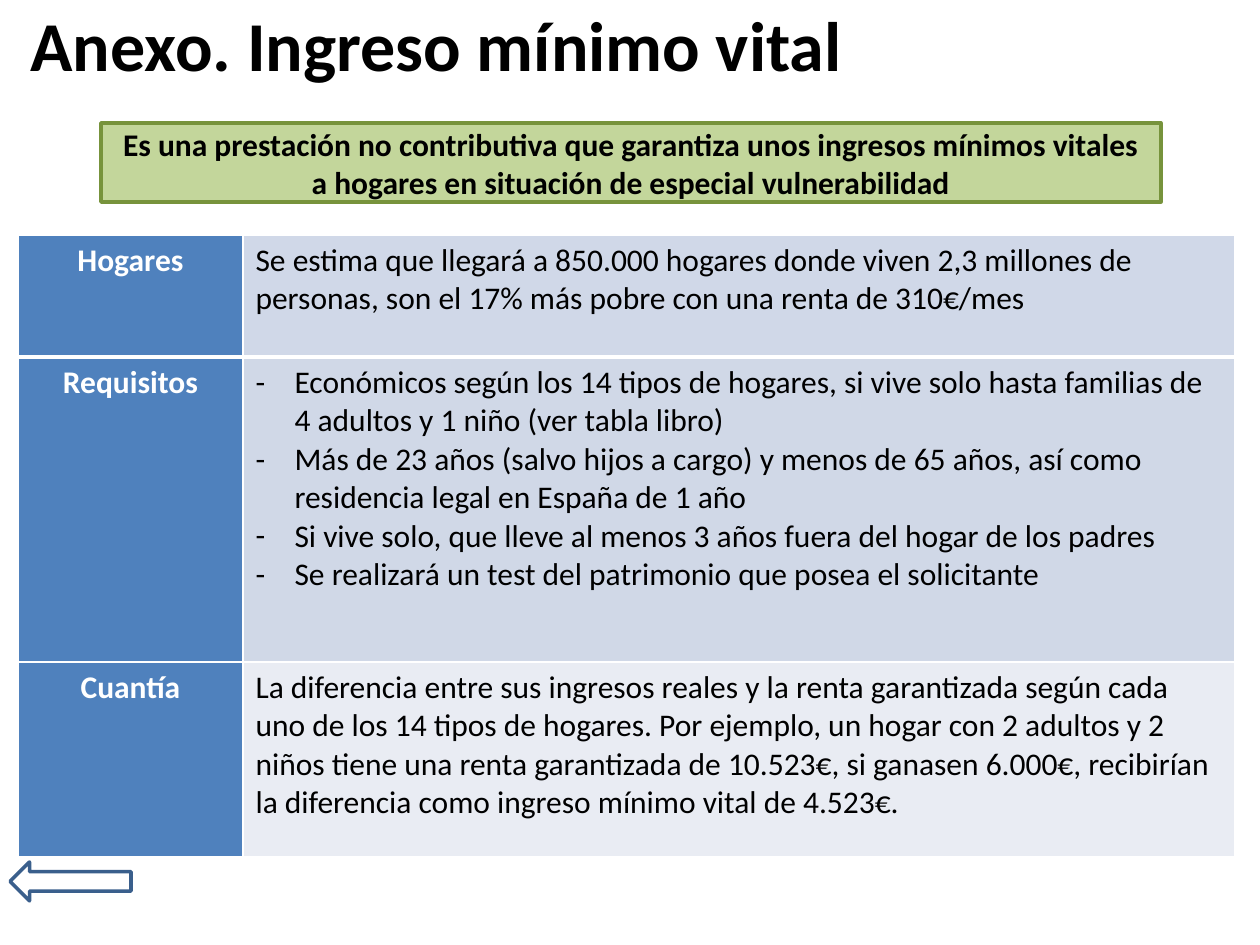
from lxml.etree import SubElement
from pptx import Presentation
from pptx.dml.color import RGBColor
from pptx.enum.shapes import MSO_SHAPE as Kind
from pptx.enum.text import MSO_ANCHOR as Anchor, PP_ALIGN as Align
from pptx.oxml.ns import qn
from pptx.util import Pt

TITLE = "Anexo. Ingreso mínimo vital"
BANNER = ("Es una prestación no contributiva que garantiza unos ingresos mínimos "
          "vitales a hogares en situación de especial vulnerabilidad")
# heading, text (a list is bulleted), row height, fill
ROWS = [
    ("Hogares",
     "Se estima que llegará a 850.000 hogares donde viven 2,3 millones de "
     "personas, son el 17% más pobre con una renta de 310€/mes",
     122, "D0D8E8"),
    ("Requisitos",
     ["Económicos según los 14 tipos de hogares, si vive solo hasta familias de "
      "4 adultos y 1 niño (ver tabla libro)",
      "Más de 23 años (salvo hijos a cargo) y menos de 65 años, así como "
      "residencia legal en España de 1 año",
      "Si vive solo, que lleve al menos 3 años fuera del hogar de los padres",
      "Se realizará un test del patrimonio que posea el solicitante"],
     305, "D0D8E7"),
    ("Cuantía",
     "La diferencia entre sus ingresos reales y la renta garantizada según cada "
     "uno de los 14 tipos de hogares. Por ejemplo, un hogar con 2 adultos y 2 "
     "niños tiene una renta garantizada de 10.523€, si ganasen 6.000€, recibirían "
     "la diferencia como ingreso mínimo vital de 4.523€.",
     195, "E9ECF3"),
]
COLS = (225, 992)
INDENT = 39
THEME = dict(font="Calibri", big=40, body=18, ink="000000", white="FFFFFF",
             head="4F81BD", green="C3D69B", edge="77933C", arrow="3A5F8C",
             line=2, thin=0.96, thick=3)


def px(n):
    return round(n * 914400 / 126)


def rgb(key):
    return RGBColor.from_string(THEME.get(key, key))


def write(frame, text, size="body", color="ink", bold=False, align=Align.LEFT):
    """Fill a text frame; a list of strings becomes dashed items."""
    items = [text] if isinstance(text, str) else text
    for i, item in enumerate(items):
        para = frame.add_paragraph() if i else frame.paragraphs[0]
        para.alignment = align
        run = para.add_run()
        run.text = item
        font = run.font
        font.name, font.size, font.bold = THEME["font"], Pt(THEME[size]), bold
        font.color.rgb = rgb(color)
        if items is text:
            props = para._p.get_or_add_pPr()
            props.set("marL", str(px(INDENT)))
            props.set("indent", str(-px(INDENT)))
            SubElement(props, qn("a:buFont"), typeface=THEME["font"])
            SubElement(props, qn("a:buChar"), char="-")


def place(shape, *box):
    shape.left, shape.top, shape.width, shape.height = map(px, box)


def draw(slide, kind, box, edge, fill=None):
    shape = slide.shapes.add_shape(kind, *map(px, box))
    shape.shadow.inherit = False
    shape.line.color.rgb = rgb(edge)
    shape.line.width = Pt(THEME["line"])
    if fill:
        shape.fill.solid()
        shape.fill.fore_color.rgb = rgb(fill)
    else:
        shape.fill.background()
    return shape


def style(cell, fill, **widths):
    """Set the white borders, then the fill of a cell."""
    props = cell._tc.get_or_add_tcPr()
    for side in "LRTB":
        width = Pt(THEME[widths.get(side, "thin")])
        line = SubElement(props, qn("a:ln" + side), w=str(width))
        paint = SubElement(line, qn("a:solidFill"))
        SubElement(paint, qn("a:srgbClr"), val=THEME["white"])
    cell.fill.solid()
    cell.fill.fore_color.rgb = rgb(fill)


def add_grid(slide, left, top):
    size = sum(COLS), sum(row[2] for row in ROWS)
    grid = slide.shapes.add_table(len(ROWS), len(COLS),
                                  *map(px, (left, top, *size))).table
    grid.first_row = grid.horz_banding = False
    for col, width in zip(grid.columns, COLS):
        col.width = px(width)
    for i, (head, text, height, fill) in enumerate(ROWS):
        grid.rows[i].height = px(height)
        name, body = grid.rows[i].cells
        rule = {0: {"B": "thick"}, 1: {"T": "thick"}}.get(i, {})
        style(name, "head", **rule)
        style(body, fill, **rule)
        write(name.text_frame, head, color="white", bold=True, align=Align.CENTER)
        write(body.text_frame, text)


def main():
    deck = Presentation()
    deck.slide_width, deck.slide_height = px(1260), px(945)
    slide = deck.slides.add_slide(deck.slide_layouts[5])

    title = slide.shapes.title
    place(title, 18, 4, 1187, 79)
    title.text_frame.vertical_anchor = Anchor.MIDDLE
    write(title.text_frame, TITLE, size="big", bold=True)

    banner = draw(slide, Kind.RECTANGLE, (101, 123, 1060, 79), "edge", "green")
    banner.text_frame.word_wrap = True
    banner.text_frame.vertical_anchor = Anchor.MIDDLE
    write(banner.text_frame, BANNER, bold=True, align=Align.CENTER)

    draw(slide, Kind.LEFT_ARROW, (10, 862, 121, 39), "arrow")
    add_grid(slide, 18, 235)
    deck.save("out.pptx")


if __name__ == "__main__":
    main()
